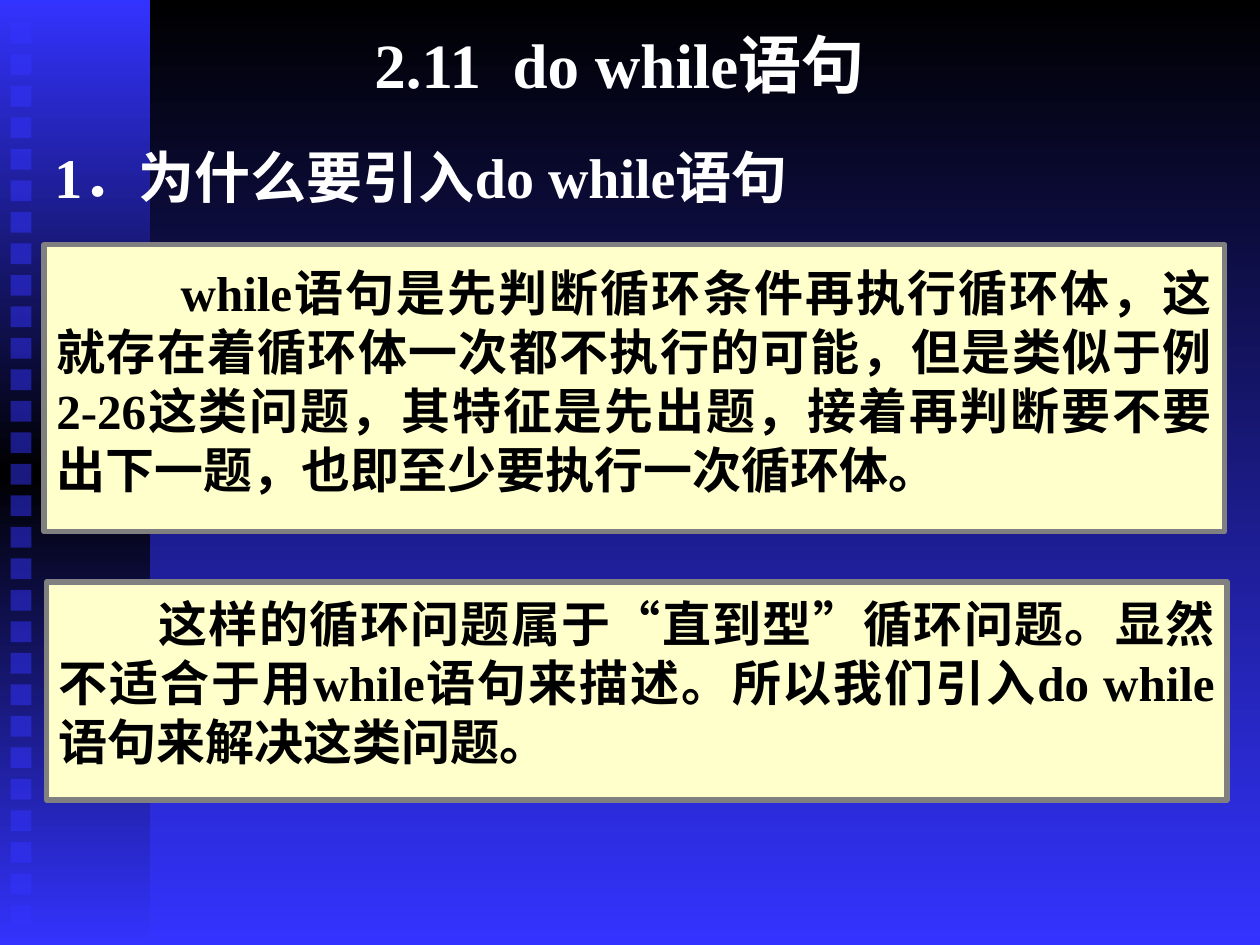
from copy import deepcopy

from lxml import etree
from pptx import Presentation
from pptx.dml.color import RGBColor
from pptx.enum.lang import MSO_LANGUAGE_ID
from pptx.enum.shapes import MSO_SHAPE
from pptx.enum.text import MSO_ANCHOR, PP_ALIGN
from pptx.oxml.ns import qn
from pptx.util import Pt

RECT = MSO_SHAPE.RECTANGLE
TOP, MIDDLE = MSO_ANCHOR.TOP, MSO_ANCHOR.MIDDLE
LEFT, CENTER, JUSTIFY = PP_ALIGN.LEFT, PP_ALIGN.CENTER, PP_ALIGN.JUSTIFY
CHINESE = MSO_LANGUAGE_ID.SIMPLIFIED_CHINESE
FONT = "Times New Roman"
COLORS = {
    "blue": "3333FF",
    "black": "000000",
    "white": "FFFFFF",
    "cream": "FFFFCC",
    "gray": "808080",
}


def color(name):
    return RGBColor.from_string(COLORS[name])


def shade(fill, names):
    """Give a fill a two-colour gradient that runs downwards."""
    fill.gradient()
    fill.gradient_angle = 270
    for stop, name in zip(fill.gradient_stops, names):
        stop.color.rgb = color(name)


def add_rect(slide, x, y, w, h):
    rect = slide.shapes.add_shape(RECT, Pt(x), Pt(y), Pt(w), Pt(h))
    rect.shadow.inherit = False
    rect.line.fill.background()
    return rect


def add_band(slide):
    """Add the left band, blue at both ends and black in the middle."""
    band = add_rect(slide, 0, 0, 85.7, 540)
    shade(band.fill, ["blue", "black"])
    stops = band._element.spPr.find(".//" + qn("a:gsLst"))
    last = deepcopy(stops[0])
    stops[1].set("pos", "50000")
    last.set("pos", "100000")
    stops.append(last)


def add_squares(slide, count=29, top=13, step=18, size=12):
    for i in range(count):
        square = add_rect(slide, 6, top + i * step, size, size)
        square.fill.solid()
        square.fill.fore_color.rgb = color("blue")
        tone = square._element.spPr.find(".//" + qn("a:srgbClr"))
        etree.SubElement(tone, qn("a:alpha")).set("val", "50000")


def write(shape, text, size, ink, align, anchor=TOP, inset=3.6, indent=0):
    frame = shape.text_frame
    frame.word_wrap = True
    frame.vertical_anchor = anchor
    frame.margin_left = frame.margin_right = Pt(7.2)
    frame.margin_top, frame.margin_bottom = Pt(inset), Pt(3.6)
    para = frame.paragraphs[0]
    para.alignment = align
    if indent:
        para._p.get_or_add_pPr().set("indent", str(Pt(indent)))
    run = para.add_run()
    run.text = text
    font = run.font
    font.name, font.size, font.bold = FONT, Pt(size), True
    font.color.rgb = color(ink)
    font.language_id = CHINESE


def add_head(slide, x, y, w, h, text, size, align, anchor=TOP):
    box = slide.shapes.add_textbox(Pt(x), Pt(y), Pt(w), Pt(h))
    write(box, text, size, "white", align, anchor)


def add_panel(slide, x, y, h, text, inset, indent):
    panel = add_rect(slide, x, y, 674.6, h)
    panel.fill.solid()
    panel.fill.fore_color.rgb = color("cream")
    panel.line.color.rgb = color("gray")
    panel.line.width = Pt(3)
    write(panel, text, 28, "black", JUSTIFY, inset=inset, indent=indent)


def main():
    deck = Presentation()
    deck.slide_width, deck.slide_height = Pt(720), Pt(540)
    slide = deck.slides.add_slide(deck.slide_layouts[6])
    shade(slide.background.fill, ["black", "blue"])
    add_band(slide)
    add_squares(slide)
    add_head(slide, 48, 0, 612, 72, "2.11  do while语句", 36, CENTER, MIDDLE)
    add_head(slide, 24, 78, 504, 54, "1．为什么要引入do while语句", 32, LEFT)
    add_panel(
        slide, 25.2, 139.7, 164.2,
        "while语句是先判断循环条件再执行循环体，这就存在着循环体一次都不执行的可能，"
        "但是类似于例2-26这类问题，其特征是先出题，接着再判断要不要出下一题，"
        "也即至少要执行一次循环体。",
        inset=10.5, indent=71)
    add_panel(
        slide, 26.6, 332.6, 124.6,
        "这样的循环问题属于“直到型”循环问题。显然不适合于用while语句来描述。"
        "所以我们引入do while语句来解决这类问题。",
        inset=6.5, indent=57)
    deck.save("out.pptx")


if __name__ == "__main__":
    main()
